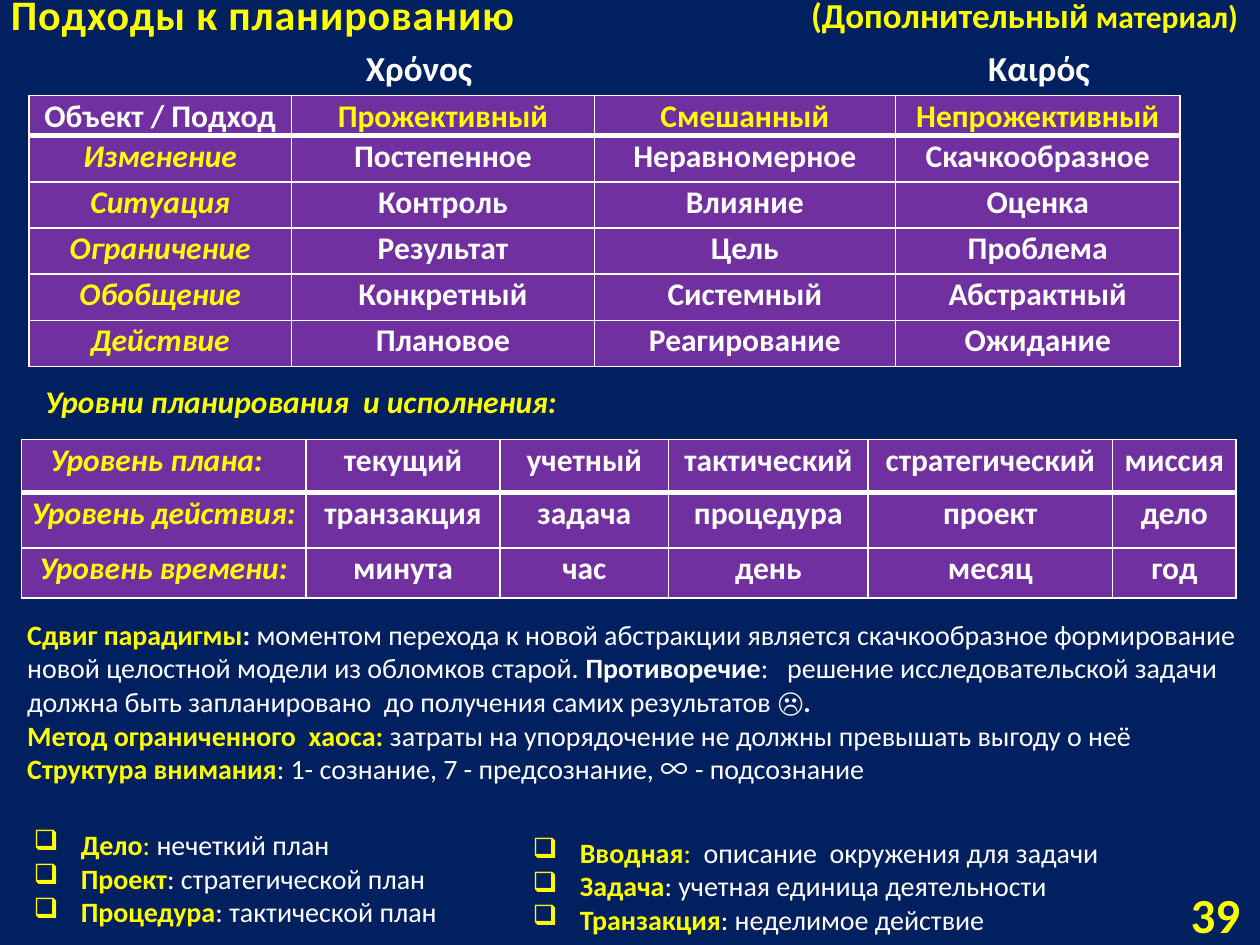
from dataclasses import dataclass

from lxml import etree
from pptx import Presentation
from pptx.dml.color import RGBColor
from pptx.enum.text import MSO_ANCHOR, MSO_AUTO_SIZE, PP_ALIGN
from pptx.oxml.ns import qn
from pptx.util import Cm, Pt

LEFT, CENTER, RIGHT = PP_ALIGN.LEFT, PP_ALIGN.CENTER, PP_ALIGN.RIGHT
TOP, MIDDLE, BOTTOM = MSO_ANCHOR.TOP, MSO_ANCHOR.MIDDLE, MSO_ANCHOR.BOTTOM
FIT, FIXED = MSO_AUTO_SIZE.SHAPE_TO_FIT_TEXT, MSO_AUTO_SIZE.NONE

NAVY, PURPLE, YELLOW, WHITE = "002060", "7030A0", "FFFF00", "FFFFFF"
FONT, SYMBOL_FONT = "Calibri", "Noto Sans CJK JP"


@dataclass
class Run:
    text: str
    color: str = WHITE
    bold: bool = False
    italic: bool = False
    size: float = 16
    font: str = FONT


@dataclass
class Label:
    box: tuple
    paragraphs: list
    align: int = LEFT
    anchor: int = TOP
    wrap: bool = True
    fit: bool = True
    bullet: str = ""


@dataclass
class Grid:
    left: float
    top: float
    columns: list
    rows: list
    cells: list
    header_colors: tuple  # first column, other columns
    header_italic: bool


def rgb(color: str) -> RGBColor:
    return RGBColor.from_string(color)


def add_run(p, run: Run):
    r = p.add_run()
    r.text = run.text
    font = r.font
    font.name, font.size = run.font, Pt(run.size)
    font.bold, font.italic = run.bold, run.italic
    font.color.rgb = rgb(run.color)
    return r


def set_bullet(p, char: str) -> None:
    pPr = p._p.get_or_add_pPr()
    pPr.set("marL", str(Cm(0.95)))
    pPr.set("indent", str(Cm(-0.95)))
    color = etree.SubElement(pPr, qn("a:buClr"))
    etree.SubElement(color, qn("a:srgbClr"), val=YELLOW)
    etree.SubElement(pPr, qn("a:buChar"), char=char)


def add_label(slide, label: Label):
    sp = slide.shapes.add_textbox(*(Cm(v) for v in label.box))
    tf = sp.text_frame
    tf.word_wrap = label.wrap
    tf.auto_size = FIT if label.fit else FIXED
    tf.vertical_anchor = label.anchor
    for i, runs in enumerate(label.paragraphs):
        p = tf.add_paragraph() if i else tf.paragraphs[0]
        p.alignment = label.align
        if label.bullet:
            set_bullet(p, label.bullet)
        for run in runs:
            add_run(p, run)
    return sp


def set_borders(cell, top: float, bottom: float) -> None:
    """Draw white cell borders; widths in points, sides are 1 pt."""
    tcPr = cell._tc.get_or_add_tcPr()
    widths = {"a:lnL": 1, "a:lnR": 1, "a:lnT": top, "a:lnB": bottom}
    for i, (tag, width) in enumerate(widths.items()):
        ln = etree.Element(qn(tag), w=str(Pt(width)))
        fill = etree.SubElement(ln, qn("a:solidFill"))
        etree.SubElement(fill, qn("a:srgbClr"), val=WHITE)
        tcPr.insert(i, ln)


def add_grid(slide, grid: Grid) -> None:
    size = (len(grid.rows), len(grid.columns))
    table = slide.shapes.add_table(
        *size, Cm(grid.left), Cm(grid.top),
        Cm(sum(grid.columns)), Cm(sum(grid.rows))).table
    for column, width in zip(table.columns, grid.columns):
        column.width = Cm(width)
    for row, height in zip(table.rows, grid.rows):
        row.height = Cm(height)
    for i, texts in enumerate(grid.cells):
        for j, text in enumerate(texts):
            cell = table.cell(i, j)
            cell.fill.solid()
            cell.fill.fore_color.rgb = rgb(PURPLE)
            cell.margin_left = cell.margin_right = cell.margin_top = Cm(0.03)
            cell.margin_bottom = 0
            set_borders(cell, 3 if i == 1 else 1, 3 if i == 0 else 1)
            first = j == 0
            color = YELLOW if first else WHITE
            italic = first
            if i == 0:
                color = grid.header_colors[0 if first else 1]
                italic = first and grid.header_italic
            p = cell.text_frame.paragraphs[0]
            p.alignment = CENTER
            add_run(p, Run(text, color, True, italic, 18))


def term(name: str, meaning: str, colon: str = WHITE) -> list:
    return [Run(name, YELLOW, True), Run(":", colon), Run(f" {meaning}")]


APPROACHES = Grid(
    0.58, 1.93, [5.3, 6.1, 6.07, 5.74], [0.74] + [0.93] * 5,
    [
        ["Объект / Подход", "Прожективный", "Смешанный", "Непрожективный"],
        ["Изменение", "Постепенное", "Неравномерное", "Скачкообразное"],
        ["Ситуация", "Контроль", "Влияние", "Оценка"],
        ["Ограничение", "Результат", "Цель", "Проблема"],
        ["Обобщение", "Конкретный", "Системный", "Абстрактный"],
        ["Действие", "Плановое", "Реагирование", "Ожидание"],
    ], (WHITE, YELLOW), False)

LEVELS = Grid(
    0.43, 8.86, [5.74, 3.91, 3.4, 4.02, 4.93, 2.49], [1.07, 1.12, 1],
    [
        ["Уровень плана:  ", "текущий", "учетный", "тактический",
         "стратегический", "миссия"],
        ["Уровень действия:", "транзакция", "задача", "процедура",
         "проект", "дело"],
        ["Уровень времени:", "минута", "час", "день", "месяц", "год"],
    ], (YELLOW, WHITE), True)

TITLE = Label((-0.03, 0, 15.27, 0.91),
              [[Run("Подходы к планированию", YELLOW, True, size=24)]],
              anchor=BOTTOM, fit=False)

LABELS = [
    Label((0.3, 12.32, 25.04, 3.68), [
        [Run("Сдвиг парадигмы", YELLOW, True), Run(": ", bold=True),
         Run("моментом перехода к новой абстракции является скачкообразное "
             "формирование новой целостной модели из обломков старой. "),
         Run("Противоречие", bold=True),
         Run(":   решение исследовательской задачи должна быть запланировано"
             "  до получения самих результатов "),
         Run("☹.", bold=True)],
        [Run("Метод ограниченного  хаоса: ", YELLOW, True),
         Run("затраты на упорядочение не должны превышать выгоду о неё "),
         Run("Структура внимания", YELLOW, True),
         Run(": 1- сознание, 7 - предсознание, "),
         Run("∞", font=SYMBOL_FONT), Run(" - подсознание")],
    ]),
    Label((0.66, 7.57, 11.1, 1.02),
          [[Run("Уровни планирования  и исполнения:", YELLOW, True, True, 18)]],
          wrap=False),
    Label((22.38, 17.91, 2.87, 1.02), [[Run("39", YELLOW, True, size=28)]],
          RIGHT, MIDDLE, fit=False),
    Label((7.11, 0.81, 2.84, 1.12), [[Run("Χρόνος ", bold=True, size=20)]],
          CENTER, wrap=False),
    Label((19.3, 0.81, 3.45, 1.12), [[Run("Καιρός ", bold=True, size=20)]],
          CENTER),
    Label((16.1, -0.25, 9.17, 1.12),
          [[Run("(Дополнительный", YELLOW, True, size=20),
            Run(" материал)", YELLOW, True, size=18)]], wrap=False),
    Label((10.49, 16.71, 12.6, 2.31), [
        term("Вводная", " описание  окружения для задачи", YELLOW),
        term("Задача", "учетная единица деятельности"),
        term("Транзакция", "неделимое действие"),
    ], bullet="❑"),
    Label((0.43, 16.56, 9.5, 2.31), [
        term("Дело", "нечеткий план", YELLOW),
        term("Проект", "стратегической план"),
        term("Процедура", "тактической план"),
    ], bullet="❑"),
]


def main() -> None:
    prs = Presentation()
    prs.slide_width, prs.slide_height = Cm(25.4), Cm(19.05)
    s = prs.slides.add_slide(prs.slide_layouts[6])
    s.background.fill.solid()
    s.background.fill.fore_color.rgb = rgb(NAVY)

    title = add_label(s, TITLE)
    title_run = title.text_frame.paragraphs[0].runs[0]
    title_run._r.get_or_add_rPr().set("spc", "50")
    for grid in (APPROACHES, LEVELS):
        add_grid(s, grid)
    for label in LABELS:
        add_label(s, label)
    prs.save("out.pptx")


if __name__ == "__main__":
    main()
